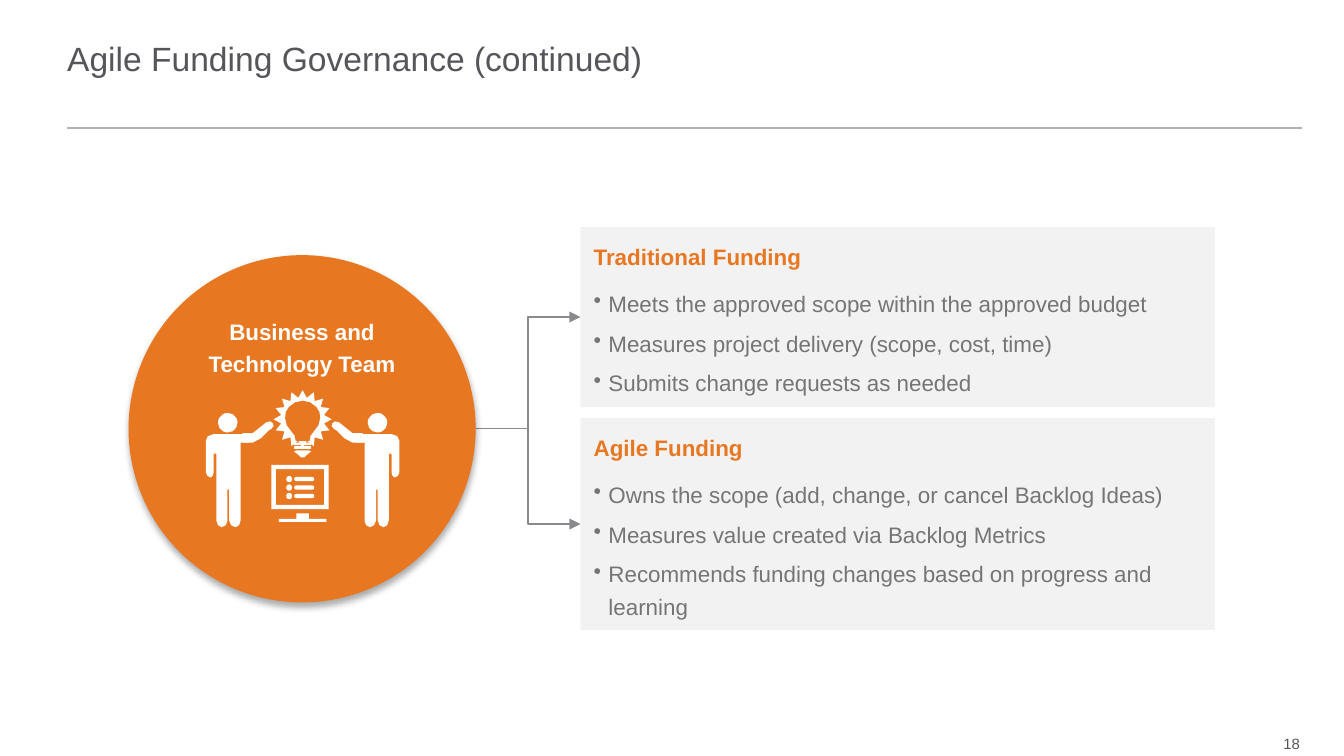
from lxml.etree import SubElement
from pptx import Presentation
from pptx.dml.color import RGBColor
from pptx.enum.shapes import MSO_CONNECTOR, MSO_SHAPE
from pptx.enum.text import MSO_ANCHOR, PP_ALIGN
from pptx.oxml.ns import qn
from pptx.util import Cm, Pt

ORANGE, WHITE, PANEL = "E87722", "FFFFFF", "F2F2F2"
DARK, BODY, RULE, ARROW = "55565A", "757575", "B1B3B3", "888B8D"
FONT = "Arial"

TITLE = "Agile Funding Governance (continued)"
PAGE_NUMBER = "18"
TEAM = "Business and Technology Team"
PANELS = [
    ("Traditional Funding", 4.29, 3.4, [
        "Meets the approved scope within the approved budget",
        "Measures project delivery (scope, cost, time)",
        "Submits change requests as needed",
    ]),
    ("Agile Funding", 7.9, 4.0, [
        "Owns the scope (add, change, or cancel Backlog Ideas)",
        "Measures value created via Backlog Metrics",
        "Recommends funding changes based on progress and learning",
    ]),
]
PANEL_LEFT, PANEL_WIDTH = 10.97, 11.99
CIRCLE_LEFT, CIRCLE_TOP, CIRCLE_SIZE = 2.43, 4.82, 6.56

# Outlines are in hundredths of a centimetre, left half of the icon.
AXIS = 572
PERSON = [
    (475, 833), (470, 824), (460, 820), (404, 820), (393, 824), (389, 833),
    (389, 892), (392, 899), (398, 902), (402, 899), (404, 892), (404, 858),
    (407, 856), (409, 858), (409, 983), (412, 992), (419, 996), (427, 992),
    (430, 983), (430, 925), (433, 925), (433, 983), (437, 992), (445, 996),
    (452, 992), (455, 983), (455, 836), (470, 836),
]
ARM = [
    (503, 798), (478, 818), (460, 818), (454, 822), (452, 828), (454, 833),
    (460, 836), (478, 836), (493, 828), (508, 813), (513, 810), (517, 805),
    (516, 800), (511, 796),
]
BULB = [
    (572, 757), (558, 760), (546, 769), (540, 779), (539, 790), (542, 803),
    (551, 815), (557, 823), (559, 833),
]
BULB_TIP = [(560, 851), (556, 853), (560, 856), (566, 861), (569, 864)]
STAND = [(560, 970), (560, 980), (527, 980), (527, 986)]


def color(value):
    return RGBColor.from_string(value)


def paint(shape, fill):
    shape.fill.solid()
    shape.fill.fore_color.rgb = color(fill)
    shape.line.fill.background()
    shape.shadow.inherit = False
    return shape


def add_preset(shapes, kind, left, top, width, height, fill):
    shape = shapes.add_shape(kind, Cm(left), Cm(top), Cm(width), Cm(height))
    return paint(shape, fill)


def add_outline(shapes, points, fill):
    builder = shapes.build_freeform(*points[0], scale=Cm(0.01))
    builder.add_line_segments(points[1:], close=True)
    return paint(builder.convert_to_shape(), fill)


def mirror(points):
    return [(2 * AXIS - x, y) for x, y in points]


def write(paragraph, text, size, ink, bold=False, align=PP_ALIGN.LEFT):
    paragraph.add_run().text = text
    paragraph.alignment = align
    paragraph.font.name = FONT
    paragraph.font.size = Pt(size)
    paragraph.font.bold = bold
    paragraph.font.color.rgb = color(ink)


def add_label(left, top, width, height, text, size, align=PP_ALIGN.LEFT):
    box = page.shapes.add_textbox(Cm(left), Cm(top), Cm(width), Cm(height))
    frame = box.text_frame
    frame.word_wrap = True
    frame.vertical_anchor = MSO_ANCHOR.MIDDLE
    set_margins(frame, 0)
    write(frame.paragraphs[0], text, size, DARK, align=align)


def set_margins(frame, margin):
    frame.margin_left = frame.margin_right = Cm(margin)
    frame.margin_top = frame.margin_bottom = Cm(margin)


def add_bullet(paragraph):
    properties = paragraph._p.get_or_add_pPr()
    properties.set("marL", str(Cm(0.28)))
    properties.set("indent", str(-Cm(0.28)))
    SubElement(properties, qn("a:buChar")).set("char", "•")


def add_panel(heading, top, height, items):
    panel = add_preset(page.shapes, MSO_SHAPE.RECTANGLE, PANEL_LEFT, top,
                       PANEL_WIDTH, height, PANEL)
    frame = panel.text_frame
    frame.word_wrap = True
    frame.vertical_anchor = MSO_ANCHOR.MIDDLE
    set_margins(frame, 0.25)
    para = frame.paragraphs[0]
    para.line_spacing, para.space_after = 1.2, Pt(8)
    write(para, heading, 12, ORANGE, bold=True)
    for item in items:
        para = frame.add_paragraph()
        para.line_spacing, para.space_after = 1.2, Pt(4)
        add_bullet(para)
        write(para, item, 12, BODY)


def add_line(kind, start, end, ink, width):
    points = [Cm(value) for value in (*start, *end)]
    line = page.shapes.add_connector(kind, *points)
    line.line.color.rgb = color(ink)
    line.line.width = Pt(width)
    SubElement(line._element.spPr, qn("a:effectLst"))
    return line


def add_shadow(shape):
    effects = shape._element.spPr.find(qn("a:effectLst"))
    shadow = SubElement(effects, qn("a:outerShdw"), blurRad=str(Pt(3.5)),
                        dist=str(Pt(2.2)), dir="5400000", rotWithShape="0")
    ink = SubElement(shadow, qn("a:srgbClr"), val="000000")
    SubElement(ink, qn("a:alpha"), val="32000")


def add_team_icon():
    icon = page.shapes.add_group_shape().shapes
    add_preset(icon, MSO_SHAPE.STAR_16_POINT, 5.17, 7.37, 1.1, 1.1, WHITE)
    for top in (8.36, 8.43):
        add_preset(icon, MSO_SHAPE.ROUNDED_RECTANGLE, 5.56, top, 0.32, 0.05, WHITE)
    for half, fill in ((BULB_TIP, WHITE), (BULB, ORANGE), (STAND, WHITE)):
        add_outline(icon, half + mirror(half)[::-1], fill)
    for outline in (PERSON, ARM):
        add_outline(icon, outline, WHITE)
        add_outline(icon, mirror(outline), WHITE)
    for left in (4.12, 6.95):
        add_preset(icon, MSO_SHAPE.OVAL, left, 7.8, 0.37, 0.37, WHITE)
    screen = add_preset(icon, MSO_SHAPE.FRAME, 5.13, 8.78, 1.08, 0.84, WHITE)
    screen.adjustments[0] = 0.1
    for row in range(3):
        middle = 9.05 + row * 0.16
        add_preset(icon, MSO_SHAPE.OVAL, 5.41, middle - 0.06, 0.11, 0.12, WHITE)
        bar = add_preset(icon, MSO_SHAPE.ROUNDED_RECTANGLE, 5.56, middle - 0.04,
                         0.38, 0.08, WHITE)
        bar.adjustments[0] = 0.5


deck = Presentation()
deck.slide_width, deck.slide_height = Cm(25.4), Cm(14.28)
page = deck.slides.add_slide(deck.slide_layouts[6])

add_line(MSO_CONNECTOR.STRAIGHT, (1.27, 2.42), (24.61, 2.42), RULE, 1)
add_label(1.27, 0.18, 18.62, 1.85, TITLE, 18)
add_label(23.5, 13.79, 1.07, 0.51, PAGE_NUMBER, 8, PP_ALIGN.RIGHT)

fork = (CIRCLE_LEFT + CIRCLE_SIZE, CIRCLE_TOP + CIRCLE_SIZE / 2)
for heading, top, height, items in PANELS:
    add_panel(heading, top, height, items)
    arrow = add_line(MSO_CONNECTOR.ELBOW, fork, (PANEL_LEFT, top + height / 2),
                     ARROW, 0.75)
    SubElement(arrow.line._get_or_add_ln(), qn("a:tailEnd"), type="triangle")

circle = add_preset(page.shapes, MSO_SHAPE.OVAL, CIRCLE_LEFT, CIRCLE_TOP,
                    CIRCLE_SIZE, CIRCLE_SIZE, ORANGE)
add_shadow(circle)
circle.text_frame.word_wrap = True
circle.text_frame.vertical_anchor = MSO_ANCHOR.TOP
team = circle.text_frame.paragraphs[0]
team.line_spacing = 1.2
write(team, TEAM, 12, WHITE, bold=True, align=PP_ALIGN.CENTER)
add_team_icon()

deck.save("out.pptx")
